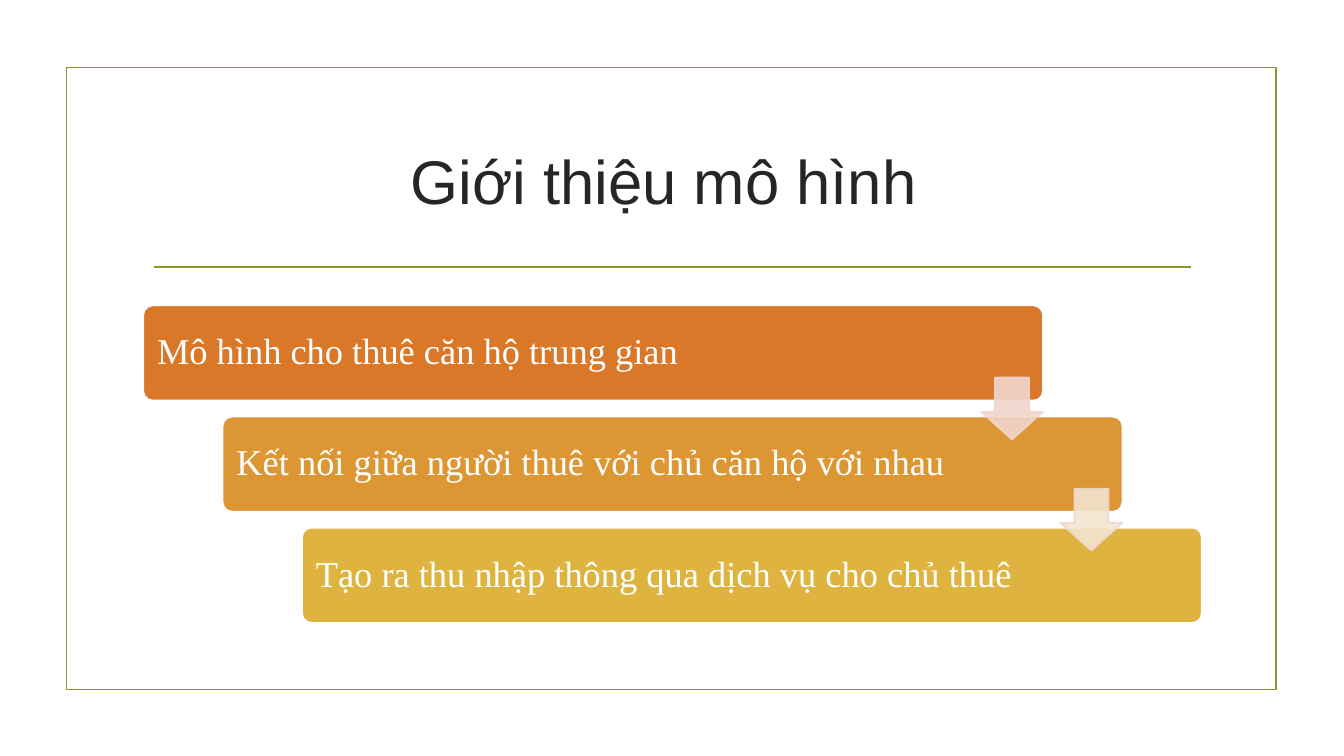
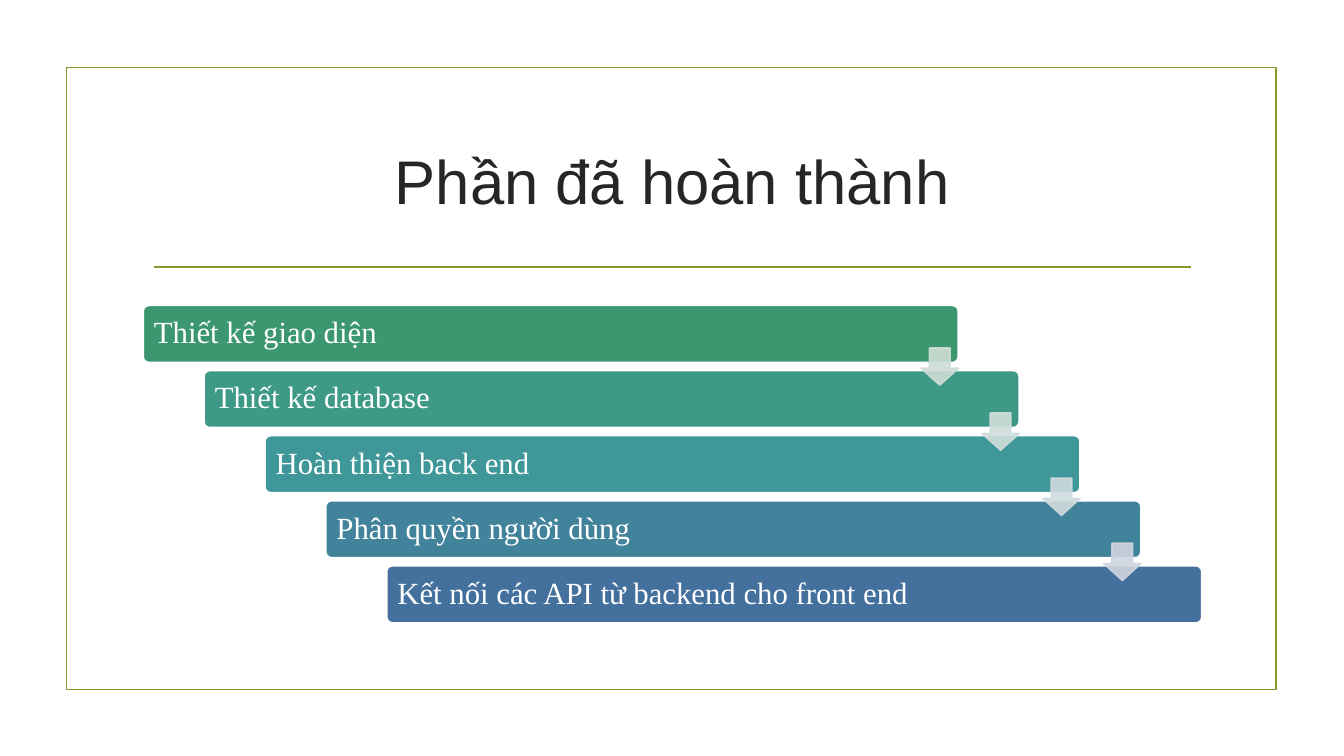
from dataclasses import dataclass

from lxml import etree
from pptx import Presentation
from pptx.dml.color import RGBColor
from pptx.enum.shapes import MSO_CONNECTOR, MSO_SHAPE
from pptx.enum.text import MSO_ANCHOR, MSO_AUTO_SIZE, PP_ALIGN
from pptx.oxml.ns import qn
from pptx.slide import Slide
from pptx.text.text import TextFrame
from pptx.util import Inches, Pt

RECTANGLE = MSO_SHAPE.RECTANGLE
ROUNDED = MSO_SHAPE.ROUNDED_RECTANGLE
DOWN_ARROW = MSO_SHAPE.DOWN_ARROW
STRAIGHT = MSO_CONNECTOR.STRAIGHT
MIDDLE = MSO_ANCHOR.MIDDLE
NO_AUTOFIT = MSO_AUTO_SIZE.NONE
LEFT, CENTER = PP_ALIGN.LEFT, PP_ALIGN.CENTER
TITLE_ONLY = 5


@dataclass(frozen=True)
class Theme:
    accent: str = "83992A"
    title_color: str = "262626"
    light: str = "FFFFFF"
    title_font: str = "Arial"
    step_font: str = "Times New Roman"
    title_size: float = 44
    line_width: float = 1.25
    arrow_alpha: int = 90


@dataclass(frozen=True)
class Box:
    left: float
    top: float
    width: float
    height: float

    def emu(self) -> tuple[int, ...]:
        return tuple(Inches(v) for v in (self.left, self.top, self.width, self.height))


@dataclass(frozen=True)
class Step:
    """One bar; the arrow colours belong to the arrow leading to the next bar."""
    text: str
    fill: str
    arrow_fill: str = ""
    arrow_line: str = ""


@dataclass(frozen=True)
class Staircase:
    """Bar sizes are shares of the whole staircase area."""
    title: str
    width_share: float
    height_share: float
    text_size: float
    inset: float
    steps: tuple[Step, ...]


THEME = Theme()
FRAME = Box(0.66, 0.67, 12, 6.17)
TITLE = Box(1.42, 1.07, 10.5, 1.43)
STAIRS = Box(1.42, 3.03, 10.5, 3.15)
RULE_LEFT, RULE_RIGHT, RULE_TOP = 1.53, 11.81, 2.65
ARROW_SHARE = 0.65

STAIRCASES = (
    Staircase("Giới thiệu mô hình ", 0.85, 0.3, 26, 0.11, (
        Step("Mô hình cho thuê căn hộ trung gian", "D97828", "F1D6CD", "F1D6CD"),
        Step("Kết nối giữa người thuê với chủ căn hộ với nhau", "DC9734", "F2E4CF", "F1D6CD"),
        Step("Tạo ra thu nhập thông qua dịch vụ cho chủ thuê", "DEB340"),
    )),
    Staircase("Phần đã hoàn thành", 0.77, 0.18, 22, 0.09, (
        Step("Thiết kế giao diện", "3C9770", "CEDDD5", "CEDDD5"),
        Step("Thiết kế database", "3E9987", "CFDEDB", "CFDEDB"),
        Step("Hoàn thiện back end", "40979A", "CFDBDE", "CFDBDE"),
        Step("Phân quyền người dùng", "42839C", "CFD5DF", "CFD5DF"),
        Step("Kết nối các API từ backend cho front end", "44709D"),
    )),
)


def draw_shape(slide: Slide, kind: MSO_SHAPE, box: Box, line: str, fill: str = "",
               adjustments: tuple[float, ...] = ()):
    shape = slide.shapes.add_shape(kind, *box.emu())
    shape.shadow.inherit = False
    for index, value in enumerate(adjustments):
        shape.adjustments[index] = value
    if fill:
        shape.fill.solid()
        shape.fill.fore_color.rgb = RGBColor.from_string(fill)
    else:
        shape.fill.background()
    shape.line.color.rgb = RGBColor.from_string(line)
    shape.line.width = Pt(THEME.line_width)
    return shape


def write_text(frame: TextFrame, text: str, font: str, size: float, color: str,
               align: PP_ALIGN, inset: float = 0.1, spacing: float = 1.0) -> None:
    margins = {f"margin_{side}": Inches(inset) for side in ("left", "top", "right", "bottom")}
    frame_format = {"word_wrap": True, "auto_size": NO_AUTOFIT, "vertical_anchor": MIDDLE}
    for name, value in (frame_format | margins).items():
        setattr(frame, name, value)
    paragraph = frame.paragraphs[0]
    paragraph.alignment = align
    paragraph.line_spacing = spacing
    run = paragraph.add_run()
    run.text = text
    for name, value in {"name": font, "size": Pt(size)}.items():
        setattr(run.font, name, value)
    run.font.color.rgb = RGBColor.from_string(color)


def draw_frame_and_rule(slide: Slide) -> None:
    draw_shape(slide, RECTANGLE, FRAME, THEME.accent)
    rule = slide.shapes.add_connector(STRAIGHT, Inches(RULE_LEFT), Inches(RULE_TOP),
                                      Inches(RULE_RIGHT), Inches(RULE_TOP))
    rule.line.color.rgb = RGBColor.from_string(THEME.accent)
    rule.line.width = Pt(THEME.line_width)
    etree.SubElement(rule.element.spPr, qn("a:effectLst"))


def place_title(slide: Slide, text: str) -> None:
    title = slide.shapes.title
    title.left, title.top, title.width, title.height = TITLE.emu()
    write_text(title.text_frame, text, THEME.title_font, THEME.title_size,
               THEME.title_color, CENTER)


def draw_arrow(slide: Slide, box: Box, step: Step) -> None:
    arrow = draw_shape(slide, DOWN_ARROW, box, step.arrow_line, step.arrow_fill, (0.55, 0.45))
    for color in arrow.element.spPr.iter(qn("a:srgbClr")):
        etree.SubElement(color, qn("a:alpha"), val=str(THEME.arrow_alpha * 1000))


def draw_staircase(slide: Slide, stairs: Staircase) -> None:
    """Spread the bars evenly from the top left to the bottom right of the area."""
    width = STAIRS.width * stairs.width_share
    height = STAIRS.height * stairs.height_share
    gaps = len(stairs.steps) - 1
    step_x = (STAIRS.width - width) / gaps
    step_y = (STAIRS.height - height) / gaps
    bars = [Box(STAIRS.left + i * step_x, STAIRS.top + i * step_y, width, height)
            for i in range(len(stairs.steps))]
    for bar, step in zip(bars, stairs.steps):
        shape = draw_shape(slide, ROUNDED, bar, THEME.light, step.fill, (0.1,))
        write_text(shape.text_frame, step.text, THEME.step_font, stairs.text_size,
                   THEME.light, LEFT, stairs.inset, 0.9)

    side = height * ARROW_SHARE
    for bar, step in zip(bars[:-1], stairs.steps):
        gap_middle = bar.top + (height + step_y) / 2
        draw_arrow(slide, Box(bar.left + width - side, gap_middle - side / 2, side, side), step)


def main() -> None:
    deck = Presentation()
    deck.slide_width, deck.slide_height = Inches(13.33), Inches(7.5)
    for stairs in STAIRCASES:
        slide = deck.slides.add_slide(deck.slide_layouts[TITLE_ONLY])
        draw_frame_and_rule(slide)
        place_title(slide, stairs.title)
        draw_staircase(slide, stairs)
    deck.save("out.pptx")


if __name__ == "__main__":
    main()
